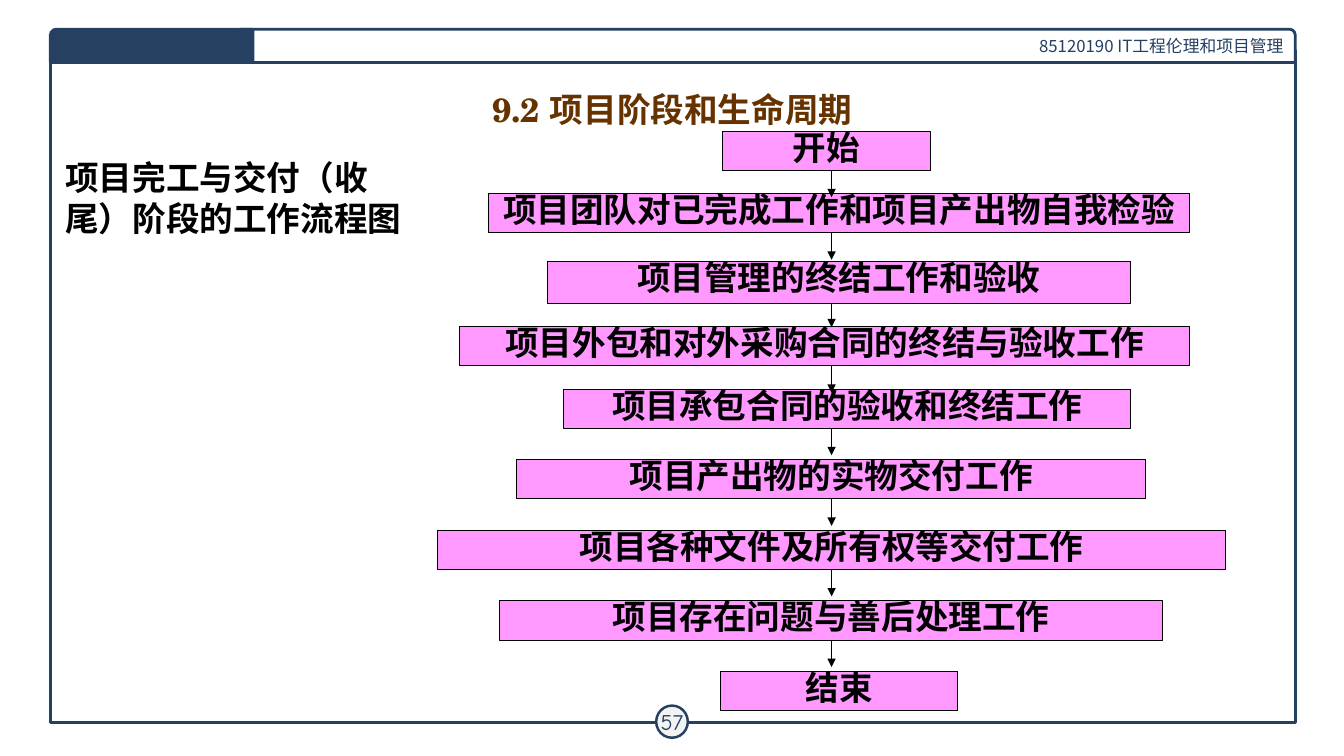
import pptx
import pptx.util
import pptx.dml.color
import pptx.enum.shapes
import pptx.enum.text
import pptx.oxml.ns
from lxml import etree

Pt = pptx.util.Pt
RGBColor = pptx.dml.color.RGBColor
SHAPE = pptx.enum.shapes.MSO_SHAPE
ALIGN = pptx.enum.text.PP_ALIGN
ANCHOR = pptx.enum.text.MSO_ANCHOR
qn = pptx.oxml.ns.qn

NAVY = RGBColor(0x25, 0x40, 0x61)
WHITE = RGBColor(0xFF, 0xFF, 0xFF)
PALE = RGBColor(0xF3, 0xF3, 0xF3)
BROWN = RGBColor(0x66, 0x33, 0x00)
BLACK = RGBColor(0, 0, 0)
PINK = RGBColor(0xFF, 0x99, 0xFF)
HAN_FONT = "Noto Sans CJK SC"

TITLE = "9.2 项目阶段和生命周期"
COURSE = "85120190 IT工程伦理和项目管理"
PAGE = "57"
CAPTION = "项目完工与交付（收尾）阶段的工作流程图"
# step, left, top, width, height
STEPS = [
    ("开始", 516.2, 93.6, 148.3, 28.1),
    ("项目团队对已完成工作和项目产出物自我检验", 349.2, 138.2, 500.4, 28.1),
    ("项目管理的终结工作和验收", 391, 186.5, 416.2, 30.2),
    ("项目外包和对外采购合同的终结与验收工作", 328.3, 233.3, 521.3, 28.1),
    ("项目承包合同的验收和终结工作", 402.5, 277.9, 405.4, 28.1),
    ("项目产出物的实物交付工作", 368.6, 328.3, 450, 28.1),
    ("项目各种文件及所有权等交付工作", 312.5, 378.7, 563, 28.1),
    ("项目存在问题与善后处理工作", 357.1, 429.1, 473, 28.1),
    ("结束", 514.8, 479.5, 169.2, 28.1),
]
ARROW_X = 594
ARROW_REACH = 47.3  # from the top of a step to the tip of its arrow

STEP_TEXT = {"size": Pt(24), "bold": True, "name": "Arial"}
CAPTION_TEXT = {"size": Pt(24), "bold": True, "name": HAN_FONT}
TITLE_TEXT = {"size": Pt(24), "bold": True, "name": "TeX Gyre Schola"}
COURSE_TEXT = {"size": Pt(12), "name": HAN_FONT}
PAGE_TEXT = {"size": Pt(16), "name": "Comic Neue"}


def write(shape, text, style, color, align, anchor, inset=None, spacing=None, wrap=True):
    frame = shape.text_frame
    frame.word_wrap = wrap
    frame.vertical_anchor = anchor
    if inset is not None:
        for side in ("left", "top", "right", "bottom"):
            setattr(frame, "margin_" + side, Pt(inset))
    paragraph = frame.paragraphs[0]
    paragraph.alignment = align
    paragraph.line_spacing = spacing
    run = paragraph.add_run()
    run.text = text
    for attribute, value in style.items():
        setattr(run.font, attribute, value)
    run.font.color.rgb = color
    east_asian = etree.SubElement(run.font._element, qn("a:ea"))
    east_asian.set("typeface", HAN_FONT)


def add_box(slide, kind, place, fill, line, weight):
    box = slide.shapes.add_shape(kind, *map(Pt, place))
    box.shadow.inherit = False
    if fill is None:
        box.fill.background()
    else:
        box.fill.solid()
        box.fill.fore_color.rgb = fill
    box.line.color.rgb = line
    box.line.width = Pt(weight)
    return box


def add_down_arrow(slide, x, top, bottom):
    arrow = slide.shapes.add_connector(
        pptx.enum.shapes.MSO_CONNECTOR.STRAIGHT, Pt(x), Pt(top), Pt(x), Pt(bottom))
    arrow.line.color.rgb = BLACK
    arrow.line.width = Pt(0.75)
    etree.SubElement(arrow.line._get_or_add_ln(), qn("a:tailEnd")).set("type", "triangle")
    etree.SubElement(arrow._element.spPr, qn("a:effectLst"))


def add_page_frame(slide):
    add_box(slide, SHAPE.RECTANGLE, (36, 36, 889.2, 480.2), None, NAVY, 2)
    course = add_box(slide, SHAPE.ROUND_1_RECTANGLE, (171.4, 20.9, 753.8, 23.8), WHITE, NAVY, 2)
    write(course, COURSE, COURSE_TEXT, NAVY, ALIGN.RIGHT, ANCHOR.MIDDLE)
    page = add_box(slide, SHAPE.OVAL, (468.7, 504, 22.6, 23), PALE, NAVY, 1.75)
    write(page, PAGE, PAGE_TEXT, NAVY, ALIGN.CENTER, ANCHOR.MIDDLE, inset=2.9, wrap=False)
    tab = add_box(slide, SHAPE.ROUND_1_RECTANGLE, (36, 20.9, 144.7, 23.8), NAVY, NAVY, 2)
    tab.adjustments[0] = 0.175
    tab._element.spPr.find(qn("a:xfrm")).set("flipH", "1")


def main():
    deck = pptx.Presentation()
    deck.slide_width, deck.slide_height = Pt(960), Pt(540)
    slide = deck.slides.add_slide(deck.slide_layouts[5])
    add_page_frame(slide)

    title = slide.shapes.title
    title.left, title.top, title.width, title.height = map(Pt, (48.2, 60.5, 864, 34.6))
    write(title, TITLE, TITLE_TEXT, BROWN, ALIGN.CENTER, ANCHOR.MIDDLE)

    caption = slide.shapes.add_textbox(*map(Pt, (39.6, 108.7, 254.9, 65.5)))
    write(caption, CAPTION, CAPTION_TEXT, BLACK, ALIGN.LEFT, ANCHOR.TOP, spacing=Pt(28.8))

    for step, *place in STEPS:
        box = add_box(slide, SHAPE.RECTANGLE, place, PINK, BLACK, 0.75)
        write(box, step, STEP_TEXT, BLACK, ALIGN.CENTER, ANCHOR.TOP, inset=0, spacing=0.9)
    for step, left, top, width, height in STEPS[:-1]:
        add_down_arrow(slide, ARROW_X, top + height, top + ARROW_REACH)

    deck.save("out.pptx")


if __name__ == "__main__":
    main()
